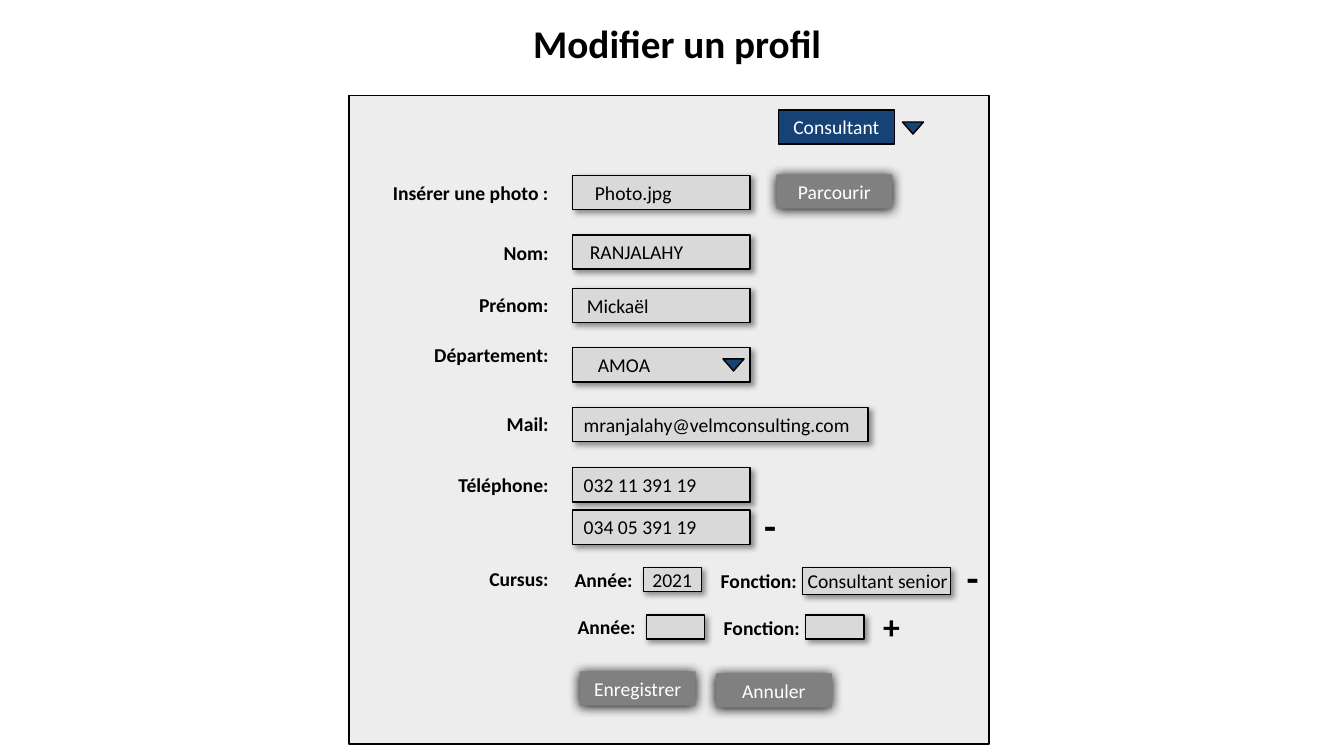
from lxml import etree
from pptx import Presentation
from pptx.dml.color import RGBColor
from pptx.enum.shapes import MSO_SHAPE
from pptx.enum.text import MSO_ANCHOR, PP_ALIGN
from pptx.oxml.ns import qn
from pptx.util import Inches, Pt

RECT, TRIANGLE = MSO_SHAPE.RECTANGLE, MSO_SHAPE.ISOSCELES_TRIANGLE
LEFT, CENTER, RIGHT = PP_ALIGN.LEFT, PP_ALIGN.CENTER, PP_ALIGN.RIGHT
MIDDLE = MSO_ANCHOR.MIDDLE

COLORS = {"panel": "EDEDED", "field": "D9D9D9", "button": "808080",
          "accent": "174275", "ink": "000000", "light": "FFFFFF"}

# Shadows: opacity %, blur pt, distance pt, angle in degrees
FIELD_SHADOW = (40, 4, 3, 45)
BUTTON_SHADOW = (100, 8.5, 1, 90)

# Grid in inches
LABEL_COL, LABEL_WIDTH = 3.52, 2.02
FIELD_COL, FIELD_WIDTH = 5.68, 1.76
ROW_HEIGHT, BUTTON_WIDTH = 0.34, 1.15
SMALL_WIDTH, SMALL_HEIGHT = 0.58, 0.24
CAREER_LABEL_WIDTH = 1.2

deck = Presentation()
deck.slide_width, deck.slide_height = Inches(13.33), Inches(7.5)
page = deck.slides.add_slide(deck.slide_layouts[6])


def add_box(kind, left, top, width, height, fill, outlined=True, shadow=None):
    box = page.shapes.add_shape(kind, *map(Inches, (left, top, width, height)))
    box.fill.solid()
    box.fill.fore_color.rgb = RGBColor.from_string(COLORS[fill])
    if outlined:
        box.line.color.rgb = RGBColor.from_string(COLORS["ink"])
        box.line.width = Pt(1)
    else:
        box.line.fill.background()
    box.shadow.inherit = False
    if shadow:
        opacity, blur, distance, angle = shadow
        effects = box._element.spPr.find(qn("a:effectLst"))
        outer = etree.SubElement(
            effects, qn("a:outerShdw"), blurRad=str(Pt(blur)), dist=str(Pt(distance)),
            dir=str(angle * 60000), algn="ctr", rotWithShape="0")
        tint = etree.SubElement(outer, qn("a:srgbClr"), val=COLORS["ink"])
        etree.SubElement(tint, qn("a:alpha"), val=str(opacity * 1000))
    return box


def write(box, text, size=14, bold=False, color="ink", align=LEFT, inset=0.1):
    frame = box.text_frame
    frame.word_wrap = False
    frame.vertical_anchor = MIDDLE
    frame.margin_left = Inches(inset)
    para = frame.paragraphs[0]
    para.text = text
    para.alignment = align
    font = para.runs[0].font
    font.name, font.size, font.bold = "Calibri", Pt(size), bold
    font.color.rgb = RGBColor.from_string(COLORS[color])


# Panel behind the form
add_box(RECT, 3.46, 0.95, 6.35, 6.43, "panel")

# Title, plus and minus signs: text, left, top, width, height, size
for text, left, top, width, height, size in [
        ("Modifier un profil", 5.19, 0.14, 3.63, 0.57, 28),
        ("-", 7.48, 4.92, 0.46, 0.57, 28),
        ("-", 9.49, 5.44, 0.46, 0.57, 28),
        ("+", 8.66, 5.96, 0.46, 0.5, 24)]:
    box = page.shapes.add_textbox(*map(Inches, (left, top, width, height)))
    write(box, text, size, bold=True)

# Labels, aligned on the right of their column
for text, top in [("Insérer une photo :", 1.74), ("Nom:", 2.34), ("Prénom:", 2.85),
                  ("Département:", 3.35), ("Mail:", 4.03), ("Téléphone:", 4.64),
                  ("Cursus:", 5.57)]:
    box = page.shapes.add_textbox(
        *map(Inches, (LABEL_COL, top, LABEL_WIDTH, ROW_HEIGHT)))
    write(box, text, bold=True, align=RIGHT)

# Filled-in fields: text, top, width, text inset
for text, top, width, inset in [
        ("Photo.jpg", 1.74, FIELD_WIDTH, 0.22),
        ("RANJALAHY", 2.33, FIELD_WIDTH, 0.17),
        ("Mickaël", 2.86, FIELD_WIDTH, 0.14),
        ("AMOA", 3.45, FIELD_WIDTH, 0.25),
        ("mranjalahy@velmconsulting.com", 4.04, 2.93, 0.11),
        ("032 11 391 19", 4.64, FIELD_WIDTH, 0.11),
        ("034 05 391 19", 5.06, FIELD_WIDTH, 0.11)]:
    box = add_box(RECT, FIELD_COL, top, width, ROW_HEIGHT, "field", shadow=FIELD_SHADOW)
    write(box, text, inset=inset)

# Career lines: left and top of the line, year, position, size of the position field
for left, top, year, position, width, height in [
        (5.6, 5.58, "2021", "Consultant senior", 1.47, 0.27),
        (5.63, 6.05, "", "", SMALL_WIDTH, SMALL_HEIGHT)]:
    for text, shift, drop in [("Année:", 0, 0), ("Fonction:", 1.45, 0.01)]:
        box = page.shapes.add_textbox(
            *map(Inches, (left + shift, top + drop, CAREER_LABEL_WIDTH, ROW_HEIGHT)))
        write(box, text, bold=True)
    for text, shift, field_width, field_height, inset in [
            (year, 0.78, SMALL_WIDTH, SMALL_HEIGHT, 0.09),
            (position, 2.36, width, height, 0.05)]:
        box = add_box(RECT, left + shift, top + 0.05, field_width, field_height,
                      "field", shadow=FIELD_SHADOW)
        if text:
            write(box, text, inset=inset)

# Buttons and profile selector
for text, left, top, fill, outlined, shadow in [
        ("Consultant", 7.72, 1.09, "accent", True, None),
        ("Parcourir", 7.7, 1.73, "button", False, BUTTON_SHADOW),
        ("Enregistrer", 5.75, 6.66, "button", False, BUTTON_SHADOW),
        ("Annuler", 7.1, 6.68, "button", False, BUTTON_SHADOW)]:
    box = add_box(RECT, left, top, BUTTON_WIDTH, ROW_HEIGHT, fill, outlined, shadow)
    write(box, text, color="light", align=CENTER)

# Drop-down arrows
for left, top in [(8.95, 1.21), (7.17, 3.56)]:
    arrow = add_box(TRIANGLE, left, top, 0.21, 0.12, "accent")
    arrow.rotation = 180

deck.save("out.pptx")
